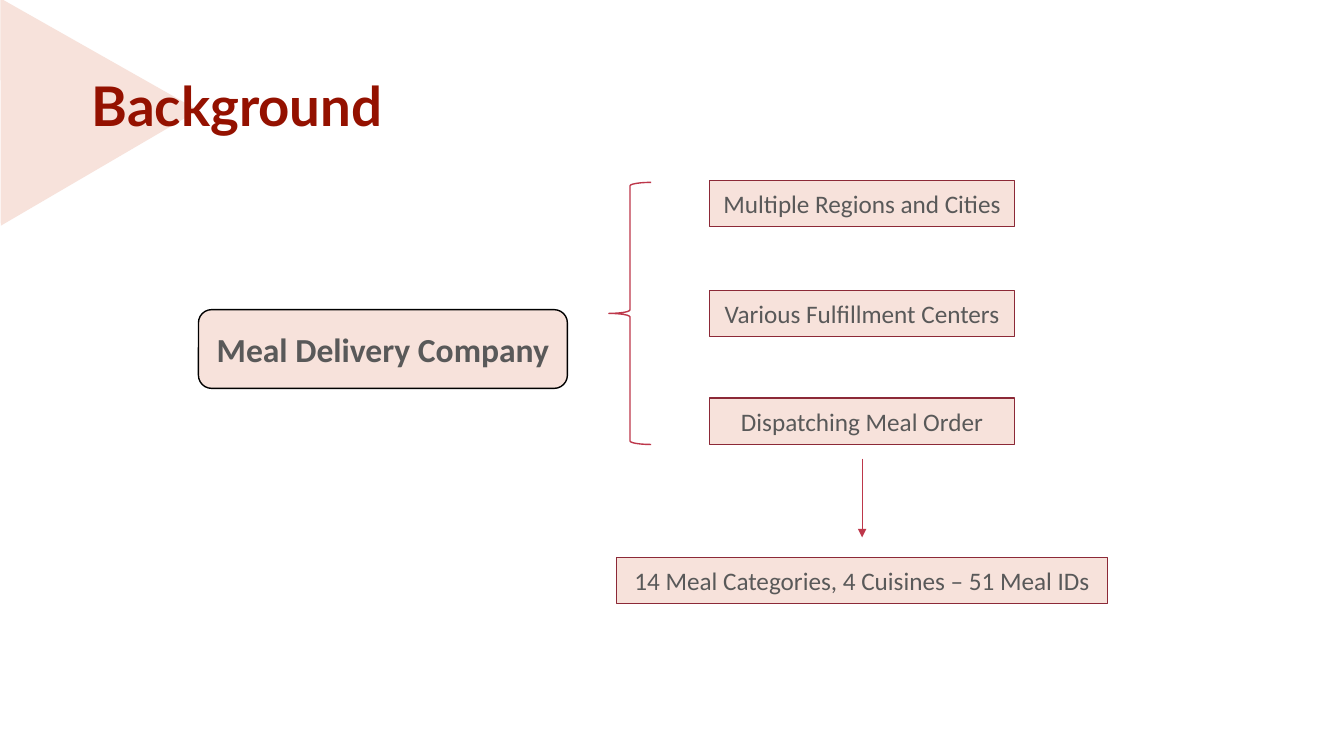
"""Build the Background slide: a company, its three traits and its meal range."""
from lxml.etree import SubElement
from pptx import Presentation
from pptx.dml.color import RGBColor
from pptx.enum.shapes import MSO_CONNECTOR as Link, MSO_SHAPE as Kind
from pptx.enum.text import MSO_ANCHOR as Anchor, PP_ALIGN as Align
from pptx.oxml.ns import qn
from pptx.util import Pt

TITLE = "Background"
FIRM = "Meal Delivery Company"
TRAITS = [
    ("Multiple Regions and Cities", 128.9),
    ("Various Fulfillment Centers", 207.4),
    ("Dispatching Meal Order", 284.4),
]
RANGE = "14 Meal Categories, 4 Cuisines – 51 Meal IDs"

THEME = {
    "blush": "F7E2DB", "wine": "8C2937", "rose": "BD374A", "black": "000000",
    "title": {"size": Pt(39), "name": "Lato", "bold": True, "color": "941100"},
    "firm": {"size": Pt(24), "name": "Calibri", "bold": True, "color": "595959"},
    "label": {"size": Pt(18), "name": "Calibri", "bold": False, "color": "595959"},
}
MID, BOX_W, BOX_H = 615.8, 218.2, 33.1
RANGE_W, RANGE_TOP = 350.6, 398.2


def write(shape, text, style, align):
    """Put one styled line of text in a shape."""
    frame = shape.text_frame
    frame.word_wrap = True
    frame.vertical_anchor = Anchor.MIDDLE
    para = frame.paragraphs[0]
    para.alignment = align
    run = para.add_run()
    run.text = text
    for key, val in THEME[style].items():
        if key == "color":
            run.font.color.rgb = RGBColor.from_string(val)
        else:
            setattr(run.font, key, val)
    return para


def stroke(item, color, width=1):
    """Set the line of a shape or connector."""
    item.line.color.rgb = RGBColor.from_string(THEME[color])
    item.line.width = Pt(width)


def draw(slide, kind, rect, fill=None, line=None):
    """Add a flat preset shape."""
    shape = slide.shapes.add_shape(kind, *map(Pt, rect))
    shape.shadow.inherit = False
    if fill:
        shape.fill.solid()
        shape.fill.fore_color.rgb = RGBColor.from_string(THEME[fill])
    else:
        shape.fill.background()
    if line:
        stroke(shape, line)
    else:
        shape.line.fill.background()
    return shape


def label(slide, text, top, width):
    """Add a framed label centred on the right-hand column."""
    rect = (MID - width / 2, top, width, BOX_H)
    write(draw(slide, Kind.RECTANGLE, rect, "blush", "wine"), text, "label", Align.CENTER)


def arrow(slide, top, end):
    """Add a downward arrow on the right-hand column."""
    link = slide.shapes.add_connector(Link.STRAIGHT, Pt(MID), Pt(top), Pt(MID), Pt(end))
    stroke(link, "rose", 0.5)
    SubElement(link.line._get_or_add_ln(), qn("a:tailEnd"), type="triangle")
    SubElement(link._element.spPr, qn("a:effectLst"))


def main():
    """Lay out and save the slide."""
    deck = Presentation()
    deck.slide_width, deck.slide_height = Pt(960), Pt(540)
    slide = deck.slides.add_slide(deck.slide_layouts[6])

    wedge = draw(slide, Kind.ISOSCELES_TRIANGLE, (-46, -10.8, 163.4, 140.4), "blush")
    wedge.rotation = 329.7
    head = slide.shapes.add_textbox(*map(Pt, (58.3, 24.5, 380.2, 106.6)))
    write(head, TITLE, "title", Align.LEFT).line_spacing = 0.9

    for text, top in TRAITS:
        label(slide, text, top, BOX_W)
    label(slide, RANGE, RANGE_TOP, RANGE_W)

    firm = draw(slide, Kind.ROUNDED_RECTANGLE, (141.8, 221.2, 263.5, 56.2), "blush", "black")
    write(firm, FIRM, "firm", Align.CENTER)
    draw(slide, Kind.LEFT_BRACE, (434.9, 130.3, 30.2, 187.2), line="rose")
    arrow(slide, 327.6, 383.8)
    deck.save("out.pptx")


if __name__ == "__main__":
    main()
